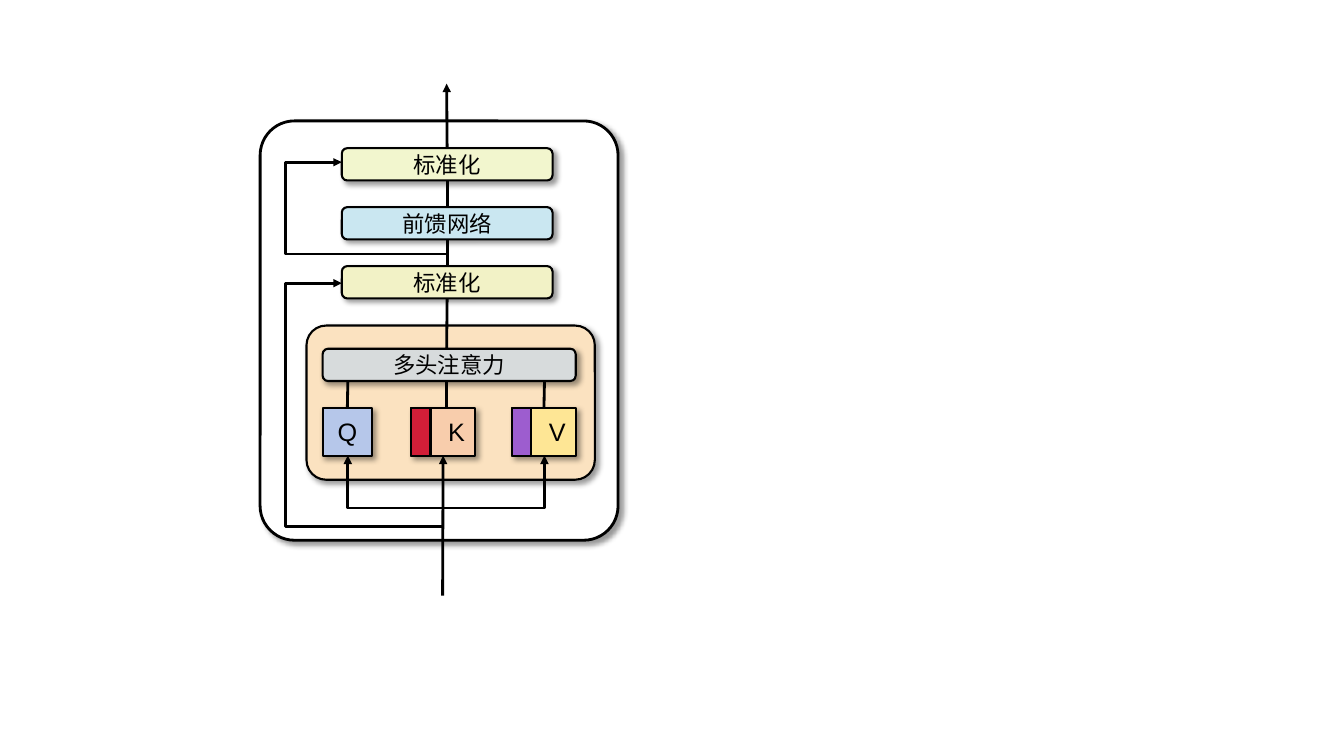
from lxml import etree
from pptx import Presentation
from pptx import util as u
from pptx.dml.color import RGBColor
from pptx.enum import shapes, text
from pptx.oxml import ns

HUES = {
    "ink": "000000", "white": "FFFFFF", "lime": "F2F6CE", "sky": "CAE7F1",
    "cream": "F2F2C6", "peach": "FBE2C0", "gray": "D7DBDC", "blue": "B6C7EA",
    "coral": "F8CDAC", "gold": "FEE695", "red": "D21E38", "plum": "9D5DCF",
}
INK = RGBColor.from_string(HUES["ink"])
MID, LEFT = text.PP_ALIGN.CENTER, text.PP_ALIGN.RIGHT
ELBOW = shapes.MSO_CONNECTOR.ELBOW

deck = Presentation()
deck.slide_width, deck.slide_height = u.Inches(13.33), u.Inches(7.5)
page = deck.slides.add_slide(deck.slide_layouts[6])


def add_box(area, hue, bend=0.1667, label="", size=16, align=MID, width=1.5, shade=True):
    box = page.shapes.add_shape(
        shapes.MSO_SHAPE.ROUNDED_RECTANGLE, *[u.Inches(n) for n in area])
    box.adjustments[0] = bend
    box.fill.solid()
    box.fill.fore_color.rgb = RGBColor.from_string(HUES[hue])
    box.line.color.rgb = INK
    box.line.width = u.Pt(width)
    box.shadow.inherit = False
    if shade:
        glow = box._element.spPr.find(ns.qn("a:effectLst"))
        drop = etree.SubElement(
            glow, ns.qn("a:outerShdw"), blurRad=str(u.Pt(4)), dist=str(u.Pt(3)),
            dir="2700000", algn="tl", rotWithShape="0")
        tint = etree.SubElement(drop, ns.qn("a:srgbClr"), val=HUES["ink"])
        etree.SubElement(tint, ns.qn("a:alpha"), val="40000")
    if label:
        frame = box.text_frame
        frame.text = label
        frame.vertical_anchor = text.MSO_ANCHOR.MIDDLE
        line = frame.paragraphs[0]
        line.alignment = align
        font = line.runs[0].font
        font.name, font.size = "Arial", u.Pt(size)
        font.color.rgb = INK
    return box


def add_wire(start, end, arrow=False, kind=shapes.MSO_CONNECTOR.STRAIGHT):
    wire = page.shapes.add_connector(kind, *[u.Inches(n) for n in (*start, *end)])
    wire.line.color.rgb = INK
    wire.line.width = u.Pt(2)
    if arrow:
        etree.SubElement(wire.line._get_or_add_ln(), ns.qn("a:tailEnd"), type="triangle")
    etree.SubElement(wire._element.spPr, ns.qn("a:effectLst"))
    return wire


# Encoder frame and its upper layers
add_box((2.58, 1.2, 3.55, 4.16), "white", 0.096, width=2)
stack = []
for row, (label, hue) in enumerate(
        [("标准化", "lime"), ("前馈网络", "sky"), ("标准化", "cream")]):
    stack.append(add_box((3.39, 1.47 + row * 0.585, 2.09, 0.32), hue, label=label))

# Attention block with query, key and value
add_box((3.04, 3.23, 2.86, 1.53), "peach", 0.128)
heads = add_box((3.2, 3.46, 2.51, 0.32), "gray", label="多头注意力")
query = add_box((3.2, 4.05, 0.49, 0.47), "blue", 0, "Q", 18)
key = add_box((4.08, 4.05, 0.63, 0.47), "coral", 0, "K", 18, LEFT)
value = add_box((5.08, 4.05, 0.63, 0.47), "gold", 0, "V", 18, LEFT)
for x, hue in [(4.08, "red"), (5.08, "plum")]:
    add_box((x, 4.05, 0.19, 0.47), hue, 0, shade=False)

# Input arrow and the links up to the attention heads
add_wire((4.39, 5.91), (4.39, 4.52), True).end_connect(key, 2)
add_wire((3.45, 4.05), (3.45, 3.79)).begin_connect(query, 0)
add_wire((4.43, 4.05), (4.43, 3.79))
add_wire((5.4, 4.05), (5.4, 3.79)).begin_connect(value, 0)

# Links between the layers, then the output arrow
add_wire((4.43, 3.46), (4.43, 2.96)).end_connect(stack[2], 2)
for low, high in [(2, 1), (1, 0)]:
    link = add_wire((4.43, 2.64), (4.43, 2.38))
    link.begin_connect(stack[low], 0)
    link.end_connect(stack[high], 2)
add_wire((4.43, 1.47), (4.43, 0.83), True).begin_connect(stack[0], 0)

# Residual paths: out to the left, up, and back into a layer
for start, end, reach in [((4.39, 5.22), (3.39, 2.81), 1.56),
                          ((4.43, 2.52), (3.39, 1.61), 1.54)]:
    path = add_wire(start, end, True, ELBOW)
    guides = path._element.spPr.prstGeom.get_or_add_avLst()
    etree.SubElement(guides, ns.qn("a:gd"), name="adj1", fmla=f"val {reach * 100000:.0f}")

# Input branches to query and value
for x in (3.45, 5.4):
    branch = add_wire((4.4, 5.04), (x, 4.52), True, ELBOW)
    branch._element.spPr.prstGeom.set("prst", "bentConnector2")

deck.save("out.pptx")
